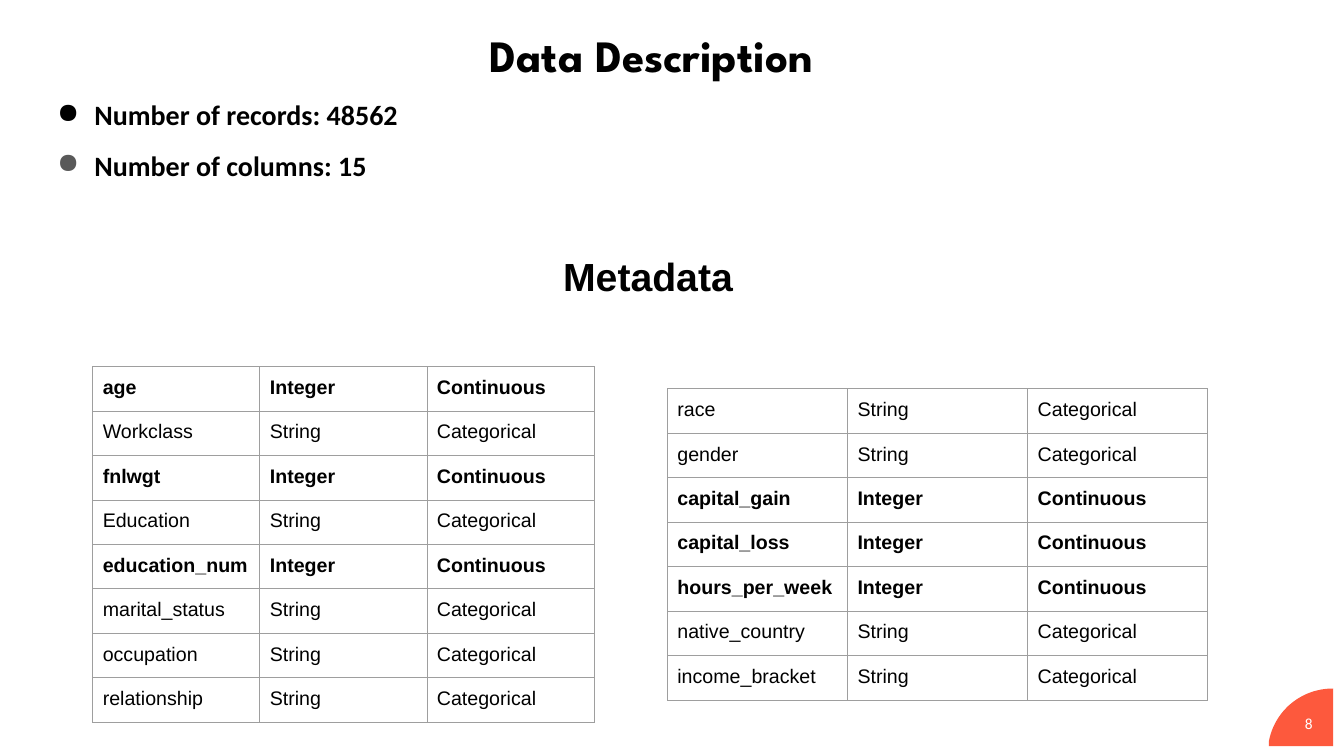
from lxml import etree
from pptx import Presentation
from pptx.dml.color import RGBColor
from pptx.enum.text import MSO_ANCHOR, PP_ALIGN
from pptx.oxml.ns import qn
from pptx.util import Cm, Pt

LEFT, CENTER = PP_ALIGN.LEFT, PP_ALIGN.CENTER
TOP, MIDDLE = MSO_ANCHOR.TOP, MSO_ANCHOR.MIDDLE
HUES = {"ink": "000000", "gray": "595959", "rule": "9E9E9E",
        "coral": "FD593D", "white": "FFFFFF"}
KINDS = {"Integer": "Continuous", "String": "Categorical"}
FIRST = [("age", "Integer"), ("Workclass", "String"), ("fnlwgt", "Integer"),
         ("Education", "String"), ("education_num", "Integer"),
         ("marital_status", "String"), ("occupation", "String"),
         ("relationship", "String")]
SECOND = [("race", "String"), ("gender", "String"),
          ("capital_gain", "Integer"), ("capital_loss", "Integer"),
          ("hours_per_week", "Integer"), ("native_country", "String"),
          ("income_bracket", "String")]


class Deck:
    """Holds the style and the current slide, and draws each kind of element."""

    def __init__(self):
        self.show = Presentation()
        self.show.slide_width, self.show.slide_height = Cm(33.87), Cm(19.05)
        self.slide = self.show.slides.add_slide(self.show.slide_layouts[6])

    def hue(self, name):
        return RGBColor.from_string(HUES[name])

    def font(self, para, size, face, bold=False, hue="ink"):
        font = para.font
        font.size, font.name, font.bold = Pt(size), face, bold
        font.color.rgb = self.hue(hue)

    def box(self, x, y, w, h, anchor=TOP, pad=0.25):
        shape = self.slide.shapes.add_textbox(Cm(x), Cm(y), Cm(w), Cm(h))
        frame = shape.text_frame
        frame.word_wrap, frame.vertical_anchor = True, anchor
        frame.margin_left = frame.margin_right = Cm(0.25)
        frame.margin_top = frame.margin_bottom = Cm(pad)
        return frame

    def label(self, text, place, size, face, bold=True, hue="ink",
              space=1.0, anchor=TOP, pad=0.25):
        para = self.box(*place, anchor, pad).paragraphs[0]
        para.text, para.alignment, para.line_spacing = text, CENTER, space
        self.font(para, size, face, bold, hue)

    def bullets(self, items, place):
        frame = self.box(*place)
        for i, (text, hue) in enumerate(items):
            para = frame.add_paragraph() if i else frame.paragraphs[0]
            para.text, para.alignment = text, LEFT
            props = para._p.get_or_add_pPr()
            props.set("marL", str(Cm(1.27)))
            props.set("indent", str(Cm(-0.94)))
            color = etree.SubElement(props, qn("a:buClr"))
            etree.SubElement(color, qn("a:srgbClr"), val=HUES[hue])
            etree.SubElement(props, qn("a:buChar"), char="●")
            para.space_before = Pt(12 if i else 0)
            self.font(para, 20, "Calibri", True)

    def border(self, cell):
        props = cell._tc.get_or_add_tcPr()
        for i, side in enumerate(("lnL", "lnR", "lnT", "lnB")):
            line = etree.Element(qn("a:" + side), w=str(Pt(0.75)))
            fill = etree.SubElement(line, qn("a:solidFill"))
            etree.SubElement(fill, qn("a:srgbClr"), val=HUES["rule"])
            props.insert(i, line)

    def table(self, fields, x, y, wide, tall=1.12):
        rows = len(fields)
        grid = self.slide.shapes.add_table(
            rows, 3, Cm(x), Cm(y), Cm(3 * wide), Cm(rows * tall)).table
        grid.first_row = grid.horz_banding = False
        for col in grid.columns:
            col.width = Cm(wide)
        for row, (name, kind) in enumerate(fields):
            grid.rows[row].height = Cm(tall)
            for col, text in enumerate((name, kind, KINDS[kind])):
                cell = grid.cell(row, col)
                cell.fill.background()
                cell.margin_left = cell.margin_right = Cm(0.25)
                cell.margin_top = cell.margin_bottom = Cm(0.25)
                cell.text = text
                para = cell.text_frame.paragraphs[0]
                self.font(para, 14, "Arial", kind == "Integer")
                self.border(cell)

    def corner(self, x, y, w, h, steps=24):
        curve = ((x, y + 1.32), (x + 0.15, y + 0.56), (x + 0.81, y), (x + w, y))
        arc = []
        for i in range(steps + 1):
            t = i / steps
            parts = ((1 - t) ** 3, 3 * t * (1 - t) ** 2,
                     3 * t * t * (1 - t), t ** 3)
            arc.append(tuple(Cm(sum(p * c[k] for p, c in zip(parts, curve)))
                             for k in (0, 1)))
        pen = self.slide.shapes.build_freeform(Cm(x + w), Cm(y + h))
        pen.add_line_segments([(Cm(x), Cm(y + h))] + arc, close=True)
        shape = pen.convert_to_shape()
        shape.shadow.inherit = False
        shape.fill.solid()
        shape.fill.fore_color.rgb = self.hue("coral")
        shape.line.fill.background()


def main():
    deck = Deck()
    deck.corner(31.98, 17.35, 1.62, 1.45)
    deck.label("8", (32.44, 17.73, 1.09, 1.02), 11, "Calibri", False, "white",
               anchor=MIDDLE, pad=0.13)
    deck.label("Data Description", (0.86, 0.61, 31.12, 1.6), 32,
               "League Spartan", space=0.9)
    deck.bullets([("Number of records: 48562", "ink"),
                  ("Number of columns: 15", "gray")],
                 (0.86, 2.21, 31.12, 16.33))
    deck.label("Metadata", (1.19, 6.1, 30.28, 1.73), 28, "Arial")
    deck.table(FIRST, 2.34, 9.24, 4.21)
    deck.table(SECOND, 16.82, 9.8, 4.54)
    deck.show.save("out.pptx")


if __name__ == "__main__":
    main()
